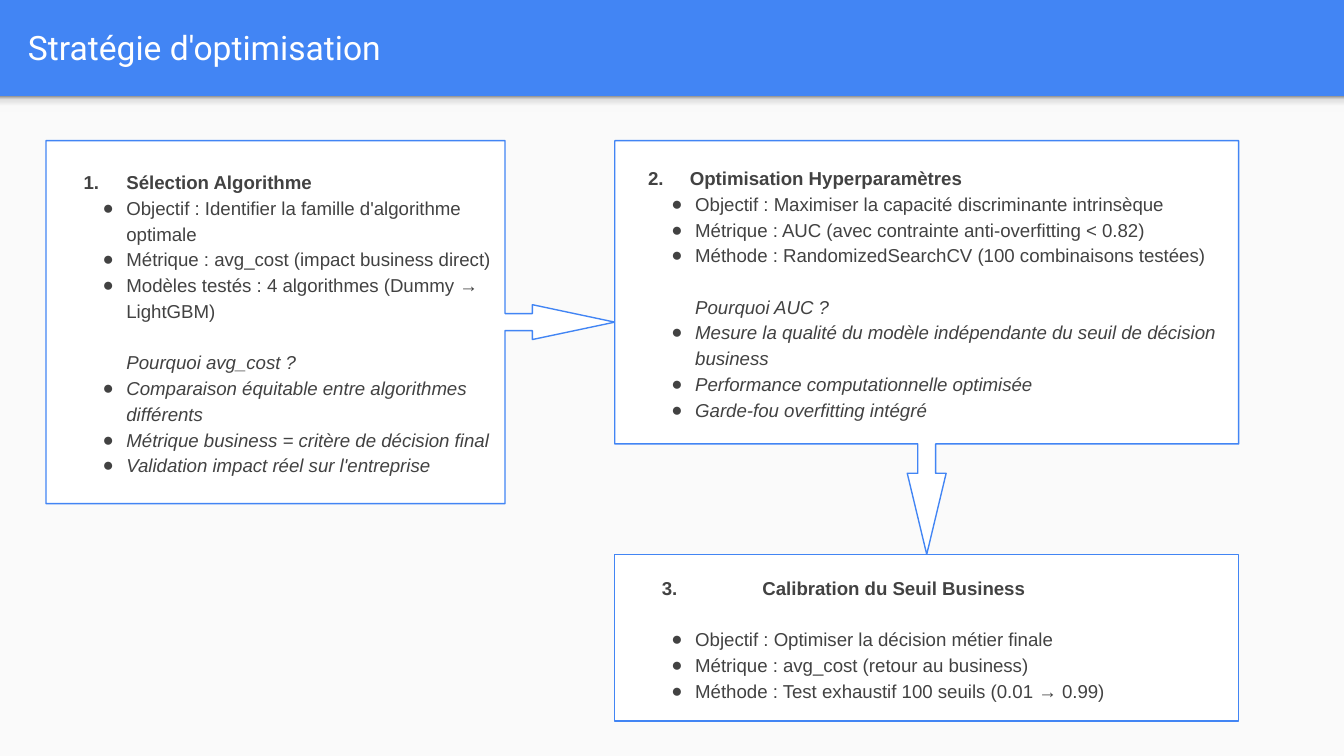
"""Build the optimisation strategy slide: three linked steps under a title band."""
from lxml.etree import SubElement
from pptx import Presentation
from pptx.dml.color import RGBColor
from pptx.enum.shapes import MSO_SHAPE as SHAPE
from pptx.enum.text import MSO_ANCHOR as ANCHOR, PP_ALIGN as ALIGN
from pptx.oxml.ns import qn
from pptx.util import Cm, Pt

COLORS = {"blue": "4285F4", "page": "FAFAFA", "white": "FFFFFF", "text": "424242"}
SHADOW = [(0, "F9F9F9"), (36, "F9F9F9"), (80, "DEDEDE"), (100, "999999")]
GAP = Pt(13.7)


def add_box(kind, at, fill):
    sp = s.shapes.add_shape(kind, *[Cm(v) for v in at])
    sp.shadow.inherit = False
    sp.fill.solid()
    sp.fill.fore_color.rgb = RGBColor.from_string(COLORS[fill])
    sp.line.fill.background()
    return sp


def set_indent(p, left, first, bullet=None, **attrs):
    pPr = p._p.get_or_add_pPr()
    pPr.set("marL", str(Cm(left)))
    pPr.set("indent", str(Cm(first)))
    if bullet:
        clr = SubElement(pPr, qn("a:buClr"))
        SubElement(clr, qn("a:srgbClr"), val=COLORS["text"])
        SubElement(pPr, qn("a:buFont"), typeface="Arial")
        SubElement(pPr, qn(bullet), **attrs)


prs = Presentation()
prs.slide_width, prs.slide_height = Cm(25.4), Cm(14.29)
s = prs.slides.add_slide(prs.slide_layouts[6])
s.background.fill.solid()
s.background.fill.fore_color.rgb = RGBColor.from_string(COLORS["blue"])

add_box(SHAPE.RECTANGLE, (0, 1.82, 25.4, 12.47), "page")
band = add_box(SHAPE.RECTANGLE, (0, 1.82, 25.4, 0.3), "page")
band.fill.gradient()
band.fill.gradient_angle = 90
stops = band._element.spPr.find(qn("a:gradFill")).find(qn("a:gsLst"))
for stop in list(stops):
    stops.remove(stop)
for pos, color in SHADOW:
    stop = SubElement(stops, qn("a:gs"), pos=str(pos * 1000))
    SubElement(stop, qn("a:srgbClr"), val=color)

title = s.shapes.add_textbox(Cm(0.28), Cm(0.05), Cm(24.51), Cm(1.68))
tf = title.text_frame
tf.word_wrap = True
tf.vertical_anchor = ANCHOR.MIDDLE
tf.text = "Stratégie d'optimisation"
r = tf.paragraphs[0].runs[0]
r.font.name, r.font.size = "Roboto", Pt(18)
r.font.color.rgb = RGBColor.from_string(COLORS["white"])

STEPS = [
    (SHAPE.RIGHT_ARROW_CALLOUT, (0.87, 2.66, 10.75, 6.86), (0.047, 0.048, 0.227, 0.807),
     "Sélection Algorithme", (1.27, -0.81, "a:buAutoNum"), 0,
     ["Objectif : Identifier la famille d'algorithme optimale",
      "Métrique : avg_cost (impact business direct)",
      "Modèles testés : 4 algorithmes (Dummy → LightGBM)"],
     ["Pourquoi avg_cost ?",
      "Comparaison équitable entre algorithmes différents",
      "Métrique business = critère de décision final",
      "Validation impact réel sur l'entreprise"]),
    (SHAPE.DOWN_ARROW_CALLOUT, (11.62, 2.66, 11.79, 7.82), (0.043, 0.047, 0.196, 0.733),
     "2.\tOptimisation Hyperparamètres", (1.17, -0.79), 0,
     ["Objectif : Maximiser la capacité discriminante intrinsèque",
      "Métrique : AUC (avec contrainte anti-overfitting < 0.82)",
      "Méthode : RandomizedSearchCV (100 combinaisons testées)"],
     ["Pourquoi AUC ?",
      "Mesure la qualité du modèle indépendante du seuil de décision business",
      "Performance computationnelle optimisée",
      "Garde-fou overfitting intégré"]),
    (SHAPE.RECTANGLE, (11.62, 10.48, 11.79, 3.15), (),
     "3.\tCalibration du Seuil Business", (2.54, -1.9), GAP,
     ["Objectif : Optimiser la décision métier finale",
      "Métrique : avg_cost (retour au business)",
      "Méthode : Test exhaustif 100 seuils (0.01 → 0.99)"],
     []),
]

for kind, at, adjustments, heading, indent, gap, goals, reasons in STEPS:
    sp = add_box(kind, at, "white")
    sp.line.color.rgb = RGBColor.from_string(COLORS["blue"])
    sp.line.width = Pt(0.75)
    for i, value in enumerate(adjustments):
        sp.adjustments[i] = value
    tf = sp.text_frame
    tf.word_wrap = True
    tf.vertical_anchor = ANCHOR.MIDDLE
    tf.margin_left = tf.margin_right = tf.margin_top = tf.margin_bottom = Cm(0.25)
    lines = [heading] + goals + reasons
    question = 1 + len(goals)
    for i, line in enumerate(lines):
        p = tf.paragraphs[0] if i == 0 else tf.add_paragraph()
        p.text = line
        if i == 0:
            attrs = {"type": "arabicPeriod"} if len(indent) == 3 else {}
            set_indent(p, *indent, **attrs)
        elif i == question:
            set_indent(p, 1.27, 0)
            p.space_before = GAP
        else:
            set_indent(p, 1.27, -0.45, "a:buChar", char="●")
        if i == 1 and gap:
            p.space_before = gap
        p.alignment = ALIGN.LEFT
        p.line_spacing = 1.15
        r = p.runs[0]
        r.font.name, r.font.size = "Arial", Pt(10)
        r.font.bold, r.font.italic = i == 0, i >= question
        r.font.color.rgb = RGBColor.from_string(COLORS["text"])

prs.save("out.pptx")
